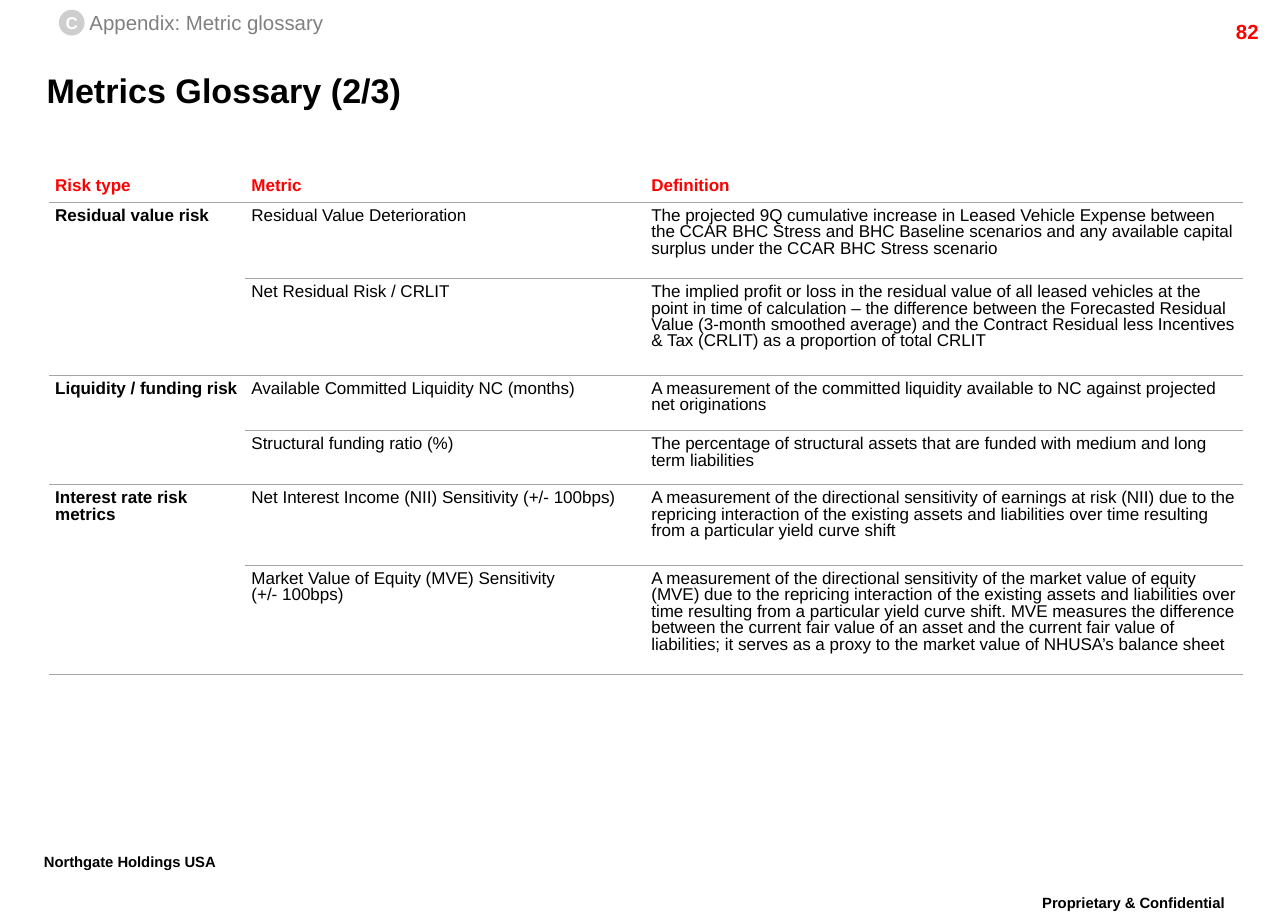
"""Build the Metrics Glossary (2/3) slide."""
from lxml import etree
from pptx import Presentation
from pptx.dml.color import RGBColor
from pptx.enum.shapes import MSO_SHAPE
from pptx.enum.text import MSO_ANCHOR, PP_ALIGN
from pptx.oxml import parse_xml
from pptx.oxml.ns import nsdecls, qn
from pptx.util import Inches, Pt


def write(tf, text, size, color, bold=False, align=PP_ALIGN.LEFT, spacing=None):
    p = tf.paragraphs[0]
    p.alignment = align
    if spacing:
        p.line_spacing = spacing
    for i, line in enumerate(text.split("\n")):
        if i:
            p.add_line_break()
        r = p.add_run()
        r.text = line
        r.font.name = "Arial"
        r.font.size = Pt(size)
        r.font.bold = bold
        r.font.color.rgb = RGBColor.from_string(color)
    return r


def add_text(box, text, size, color, bold=False, align=PP_ALIGN.LEFT,
             anchor=MSO_ANCHOR.MIDDLE, inset=(0, 0), spacing=None):
    tf = s.shapes.add_textbox(*[Inches(v) for v in box]).text_frame
    tf.word_wrap = True
    tf.vertical_anchor = anchor
    tf.margin_left = tf.margin_right = Inches(inset[0])
    tf.margin_top = tf.margin_bottom = Inches(inset[1])
    return write(tf, text, size, color, bold, align, spacing)


prs = Presentation()
prs.slide_width, prs.slide_height = Inches(10.5), Inches(7.5)
s = prs.slides.add_slide(prs.slide_layouts[6])

footers = [
    ((8.15, 7.25, 2.18, 0.35), "Proprietary & Confidential", PP_ALIGN.CENTER),
    ((0.26, 6.91, 1.91, 0.35), "Northgate Holdings USA", PP_ALIGN.LEFT),
]
for box, text, align in footers:
    r = add_text(box, text, 15, "000000", True, align, MSO_ANCHOR.TOP, (0.1, 0.05), 0.86)
    r.font._element.set("baseline", "30000")

add_text((9.36, 0.11, 1, 0.24), "82", 12, "FF0000", True, PP_ALIGN.RIGHT,
         MSO_ANCHOR.TOP, (0.1, 0.05))
add_text((0.38, 0.49, 9.48, 0.48), "Metrics Glossary (2/3)", 20, "000000", True)

rows = [
    (0.25, "Risk type", "Metric", "Definition"),
    (0.62, "Residual value risk", "Residual Value Deterioration",
     "The projected 9Q cumulative increase in Leased Vehicle Expense between the CCAR BHC "
     "Stress and BHC Baseline scenarios and any available capital surplus under the CCAR BHC "
     "Stress scenario"),
    (0.79, "", "Net Residual Risk / CRLIT",
     "The implied profit or loss in the residual value of all leased vehicles at the point in "
     "time of calculation – the difference between the Forecasted Residual Value (3-month "
     "smoothed average) and the Contract Residual less Incentives & Tax (CRLIT) as a "
     "proportion of total CRLIT"),
    (0.45, "Liquidity / funding risk", "Available Committed Liquidity NC (months)",
     "A measurement of the committed liquidity available to NC against projected net "
     "originations"),
    (0.44, "", "Structural funding ratio (%)",
     "The percentage of structural assets that are funded with medium and long term "
     "liabilities"),
    (0.66, "Interest rate risk metrics", "Net Interest Income (NII) Sensitivity (+/- 100bps)",
     "A measurement of the directional sensitivity of earnings at risk (NII) due to the "
     "repricing interaction of the existing assets and liabilities over time resulting from a "
     "particular yield curve shift"),
    (0.89, "", "Market Value of Equity (MVE) Sensitivity\n(+/- 100bps)",
     "A measurement of the directional sensitivity of the market value of equity (MVE) due to "
     "the repricing interaction of the existing assets and liabilities over time resulting "
     "from a particular yield curve shift. MVE measures the difference between the current "
     "fair value of an asset and the current fair value of liabilities; it serves as a proxy "
     "to the market value of NHUSA’s balance sheet"),
]
widths = [1.6, 3.26, 4.87]
frame = s.shapes.add_table(len(rows), len(widths), Inches(0.4), Inches(1.4),
                           Inches(sum(widths)), Inches(sum(row[0] for row in rows)))
table = frame.table
table.first_row = table.horz_banding = False
table._tbl.tblPr.find(qn("a:tableStyleId")).text = "{2D5ABB26-0587-4C30-8999-92F81FD0307C}"
for column, width in zip(table.columns, widths):
    column.width = Inches(width)

for i, (height, *texts) in enumerate(rows):
    table.rows[i].height = Inches(height)
    for j, text in enumerate(texts):
        cell = table.cell(i, j)
        cell.margin_left = cell.margin_right = Inches(0.05)
        cell.margin_top = cell.margin_bottom = Inches(0.05)
        cell.vertical_anchor = MSO_ANCHOR.TOP if i else MSO_ANCHOR.MIDDLE
        cell.fill.background()
        border = parse_xml(f'<a:lnB {nsdecls("a")} w="9525"><a:solidFill>'
                           '<a:srgbClr val="A5A5A5"/></a:solidFill></a:lnB>')
        cell._tc.get_or_add_tcPr().insert(0, border)
        if text:
            write(cell.text_frame, text, 10, "000000" if i else "FF0000",
                  i == 0 or j == 0, spacing=0.86)
for i in range(1, len(rows), 2):
    table.cell(i, 0).merge(table.cell(i + 1, 0))

sp = s.shapes.add_shape(MSO_SHAPE.OVAL, Inches(0.48), Inches(0.08), Inches(0.21), Inches(0.21))
sp.shadow.inherit = False
sp.fill.solid()
sp.fill.fore_color.rgb = RGBColor.from_string("CECECE")
sp.line.fill.background()
tf = sp.text_frame
tf.word_wrap = False
tf.vertical_anchor = MSO_ANCHOR.MIDDLE
tf.margin_left = tf.margin_right = tf.margin_top = tf.margin_bottom = 0
write(tf, "C", 10, "FFFFFF", True, PP_ALIGN.CENTER)
add_text((0.73, 0.08, 2.1, 0.2), "Appendix: Metric glossary", 12, "808080")

prs.save("out.pptx")
